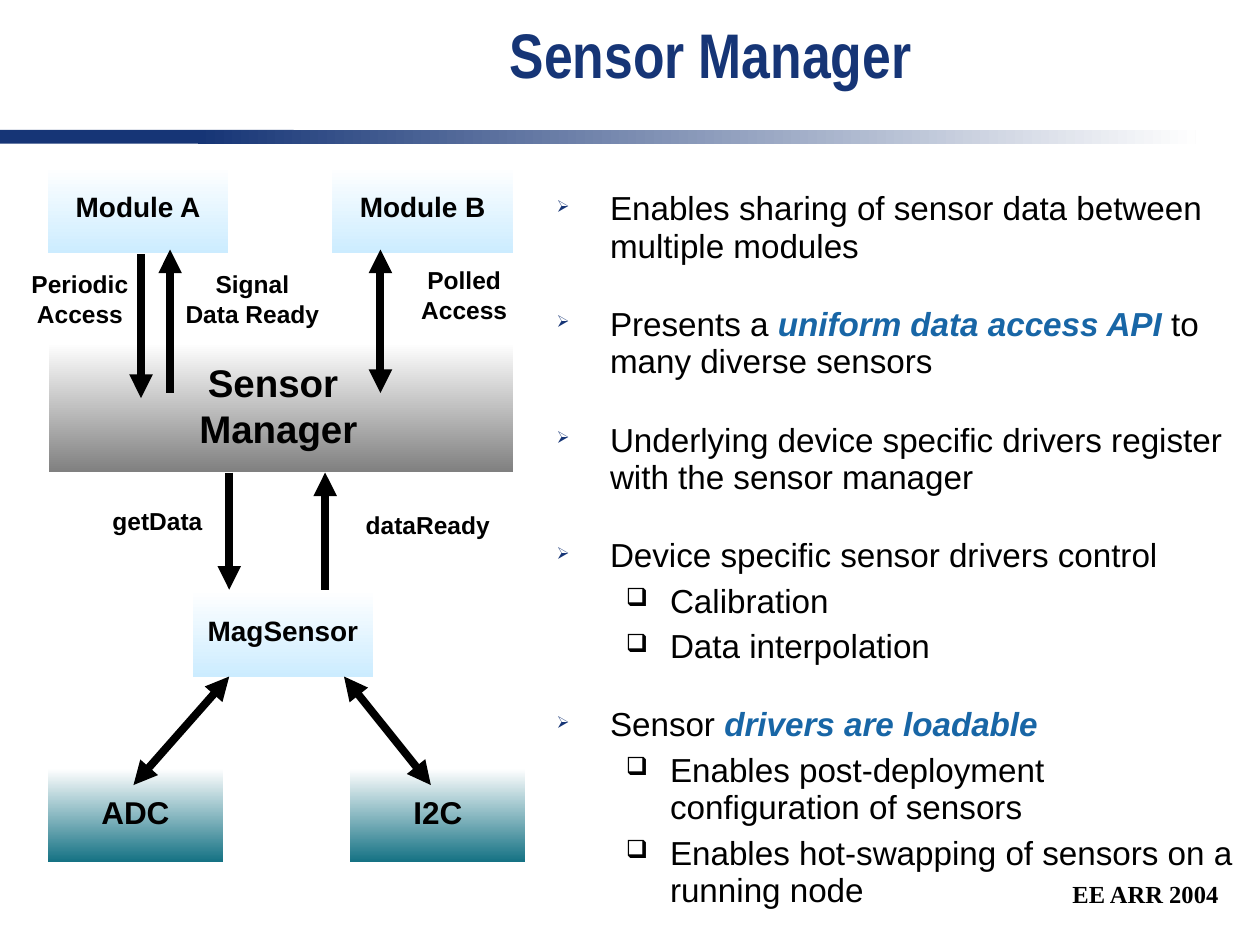
from lxml import etree
from pptx import Presentation
from pptx.dml.color import RGBColor
from pptx.enum.shapes import MSO_CONNECTOR as CONNECTOR, MSO_SHAPE as SHAPE
from pptx.enum.text import MSO_ANCHOR as ANCHOR, PP_ALIGN as ALIGN
from pptx.oxml.ns import qn
from pptx.util import Pt

COLORS = {
    "navy": "163576", "accent": "1866A6", "text": "000000", "white": "FFFFFF",
    "fade": "FEFEFE", "sky": "CCECFF", "gray": "808080", "teal": "157284",
}
LEVELS = [
    dict(char="➢", color="navy", size=50, left=30.5, hang=30.5),
    dict(char="❑", color="text", size=75, left=64.8, hang=25.2),
]
LINE_GAP, TOPIC_GAP = 4.8, 23.6
# level, space before, runs as (text, emphasised)
POINTS = [
    (0, 0, [("Enables sharing of sensor data between multiple modules", False)]),
    (0, TOPIC_GAP, [("Presents a ", False), ("uniform data access API", True),
                    (" to many diverse sensors", False)]),
    (0, TOPIC_GAP, [("Underlying device specific drivers register "
                     "with the sensor manager", False)]),
    (0, TOPIC_GAP, [("Device specific sensor drivers control", False)]),
    (1, LINE_GAP, [("Calibration", False)]),
    (1, LINE_GAP, [("Data interpolation", False)]),
    (0, TOPIC_GAP, [("Sensor", False), (" drivers are loadable", True)]),
    (1, LINE_GAP, [("Enables post-deployment configuration of sensors", False)]),
    (1, LINE_GAP, [("Enables hot-swapping of sensors on a running node", False)]),
]
MODULE, BUS = (103, 49.7), (100, 53.3)
# text, left, top, size of box, bottom colour, font size
BLOCKS = [
    ("Module A", 27.4, 95, MODULE, "sky", 16),
    ("Module B", 190, 95, MODULE, "sky", 16),
    ("MagSensor", 110.2, 337, MODULE, "sky", 16),
    ("ADC", 27.4, 439.2, BUS, "teal", 18),
    ("I2C", 200.2, 439.2, BUS, "teal", 18),
]
# lines, left, top, width, height, font size, space between
LABELS = [
    (["Sensor ", "Manager"], 106.6, 206.6, 105, 54.7, 22, 5.5),
    (["Periodic", "Access"], 10.8, 153.4, 69.8, 37.4, 14, 3.5),
    (["Signal", "Data Ready"], 98.6, 153.4, 91.4, 37.4, 14, 3.5),
    (["Polled", "Access"], 233.3, 151.2, 64, 37.4, 14, 3.5),
    (["getData"], 56.9, 288.7, 66.2, 20.9, 14, 3.5),
    (["dataReady"], 201.6, 290.9, 85.7, 20.9, 14, 3.5),
]
# start x, start y, end x, end y, ends that carry an arrowhead
ARROWS = [
    (80.6, 145.4, 80.6, 227.5, ["tailEnd"]),
    (97.2, 142.6, 97.2, 224.6, ["headEnd"]),
    (217.4, 142.6, 217.4, 224.6, ["headEnd", "tailEnd"]),
    (131, 270, 131, 337, ["tailEnd"]),
    (185.8, 270, 185.8, 337, ["headEnd"]),
    (131, 386.6, 76.3, 448.6, ["headEnd", "tailEnd"]),
    (196.6, 386.6, 246.2, 448.6, ["headEnd", "tailEnd"]),
]


def rgb(name):
    return RGBColor.from_string(COLORS[name])


def apply(obj, **values):
    for name, value in values.items():
        setattr(obj, name, value)


def add_run(p, text, size, font="Arial", color="text", bold=True, italic=False):
    r = p.add_run()
    r.text = text
    apply(r.font, size=Pt(size), name=font, bold=bold, italic=italic)
    r.font.color.rgb = rgb(color)


def add_rect(s, left, top, width, height, first, last=None, angle=270):
    """Rectangle with a plain fill, or a gradient when last is given."""
    sp = s.shapes.add_shape(SHAPE.RECTANGLE, Pt(left), Pt(top), Pt(width), Pt(height))
    sp.shadow.inherit = False
    sp.line.fill.background()
    if last is None:
        sp.fill.solid()
        sp.fill.fore_color.rgb = rgb(first)
    else:
        sp.fill.gradient()
        sp.fill.gradient_angle = angle
        for stop, color in zip(sp.fill.gradient_stops, (first, last)):
            stop.color.rgb = rgb(color)
    return sp


def add_text(s, left, top, width, height, anchor=ANCHOR.TOP, wrap=True):
    tf = s.shapes.add_textbox(Pt(left), Pt(top), Pt(width), Pt(height)).text_frame
    apply(tf, word_wrap=wrap, vertical_anchor=anchor)
    return tf


def add_lines(tf, lines, size, gap=0, spacing=0.8, align=ALIGN.CENTER, **font):
    for i, line in enumerate(lines):
        p = tf.add_paragraph() if i else tf.paragraphs[0]
        apply(p, alignment=align, line_spacing=spacing)
        if i:
            p.space_before = Pt(gap)
        add_run(p, line, size, **font)


def add_block(s, text, left, top, box, color, size):
    tf = add_rect(s, left, top, *box, "white", color).text_frame
    apply(tf, word_wrap=True, vertical_anchor=ANCHOR.MIDDLE)
    add_lines(tf, [text], size)


def add_arrow(s, x1, y1, x2, y2, ends):
    c = s.shapes.add_connector(CONNECTOR.STRAIGHT, Pt(x1), Pt(y1), Pt(x2), Pt(y2))
    c.line.width = Pt(4.5)
    c.line.color.rgb = rgb("text")
    ln = c.line._get_or_add_ln()
    for end in ends:
        etree.SubElement(ln, qn("a:" + end), type="triangle")
    etree.SubElement(c._element.spPr, qn("a:effectLst"))


def set_bullet(p, char, color, size, left, hang):
    pPr = p._p.get_or_add_pPr()
    pPr.set("marL", str(Pt(left)))
    pPr.set("indent", str(-Pt(hang)))
    clr = etree.SubElement(pPr, qn("a:buClr"))
    etree.SubElement(clr, qn("a:srgbClr"), val=COLORS[color])
    etree.SubElement(pPr, qn("a:buSzPct"), val=str(size * 1000))
    etree.SubElement(pPr, qn("a:buChar"), char=char)


def add_points(tf):
    for i, (level, gap, runs) in enumerate(POINTS):
        p = tf.add_paragraph() if i else tf.paragraphs[0]
        set_bullet(p, **LEVELS[level])
        apply(p, level=level, line_spacing=0.93)
        if gap:
            p.space_before = Pt(gap)
        for text, strong in runs:
            add_run(p, text, 19, color="accent" if strong else "text",
                    bold=strong, italic=strong)


def main():
    prs = Presentation()
    apply(prs, slide_width=Pt(720), slide_height=Pt(540))
    s = prs.slides.add_slide(prs.slide_layouts[6])

    add_lines(add_text(s, 540, 492.5, 163.4, 36, ANCHOR.MIDDLE), ["EE ARR 2004"], 14,
              spacing=1.0, align=ALIGN.RIGHT, font="Times New Roman")
    add_rect(s, 0, 74.2, 167.8, 7.9, "navy")
    add_rect(s, 113, 74.2, 570.2, 7.9, "navy", "fade", angle=0)
    add_lines(add_text(s, 136.1, 5, 540, 61.9, ANCHOR.MIDDLE), ["Sensor Manager"], 36,
              spacing=0.7, font="Arial Narrow", color="navy")
    add_points(add_text(s, 311, 105.8, 402.5, 434.2))

    add_rect(s, 28.1, 195.8, 265, 74.2, "white", "gray")
    for block in BLOCKS:
        add_block(s, *block)
    for lines, left, top, width, height, size, gap in LABELS:
        add_lines(add_text(s, left, top, width, height, wrap=False), lines, size, gap)
    for arrow in ARROWS:
        add_arrow(s, *arrow)

    prs.save("out.pptx")


if __name__ == "__main__":
    main()
